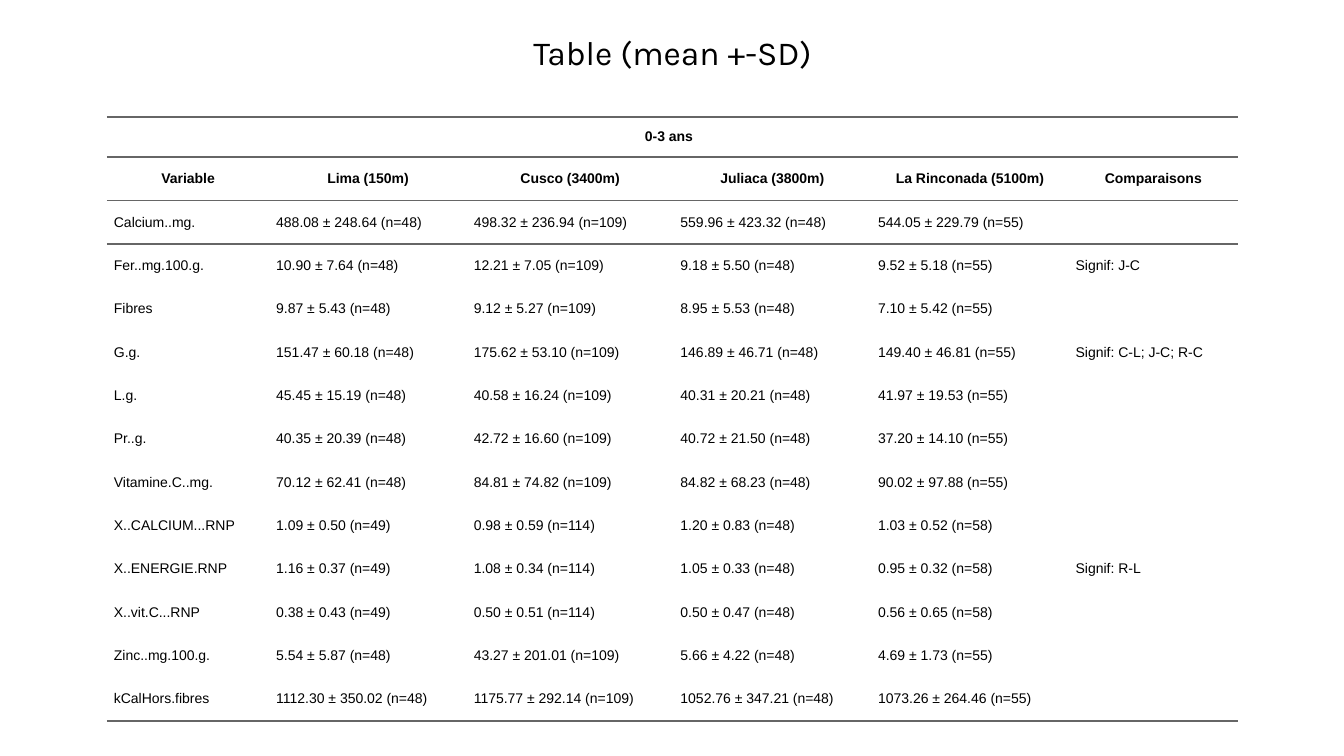
from lxml.etree import SubElement
from pptx import Presentation
from pptx.dml.color import RGBColor
from pptx.enum.text import MSO_ANCHOR, PP_ALIGN
from pptx.oxml.ns import qn
from pptx.util import Inches, Pt

COLORS = {"text": "000000", "rule": "666666"}
NO_STYLE = "{2D5ABB26-0587-4C30-8999-92F81FD0307C}"
WIDTHS = [1.61, 1.96, 2.05, 1.96, 1.96, 1.68]
HEADS = ["Variable", "Lima (150m)", "Cusco (3400m)", "Juliaca (3800m)",
         "La Rinconada (5100m)", "Comparaisons"]
ROWS = [
    ["", "0-3 ans", "", "", "", ""],
    HEADS,
    ["Calcium..mg.", "488.08 ± 248.64 (n=48)", "498.32 ± 236.94 (n=109)",
     "559.96 ± 423.32 (n=48)", "544.05 ± 229.79 (n=55)", ""],
    ["Fer..mg.100.g.", "10.90 ± 7.64 (n=48)", "12.21 ± 7.05 (n=109)",
     "9.18 ± 5.50 (n=48)", "9.52 ± 5.18 (n=55)", "Signif: J-C"],
    ["Fibres", "9.87 ± 5.43 (n=48)", "9.12 ± 5.27 (n=109)",
     "8.95 ± 5.53 (n=48)", "7.10 ± 5.42 (n=55)", ""],
    ["G.g.", "151.47 ± 60.18 (n=48)", "175.62 ± 53.10 (n=109)",
     "146.89 ± 46.71 (n=48)", "149.40 ± 46.81 (n=55)", "Signif: C-L; J-C; R-C"],
    ["L.g.", "45.45 ± 15.19 (n=48)", "40.58 ± 16.24 (n=109)",
     "40.31 ± 20.21 (n=48)", "41.97 ± 19.53 (n=55)", ""],
    ["Pr..g.", "40.35 ± 20.39 (n=48)", "42.72 ± 16.60 (n=109)",
     "40.72 ± 21.50 (n=48)", "37.20 ± 14.10 (n=55)", ""],
    ["Vitamine.C..mg.", "70.12 ± 62.41 (n=48)", "84.81 ± 74.82 (n=109)",
     "84.82 ± 68.23 (n=48)", "90.02 ± 97.88 (n=55)", ""],
    ["X..CALCIUM...RNP", "1.09 ± 0.50 (n=49)", "0.98 ± 0.59 (n=114)",
     "1.20 ± 0.83 (n=48)", "1.03 ± 0.52 (n=58)", ""],
    ["X..ENERGIE.RNP", "1.16 ± 0.37 (n=49)", "1.08 ± 0.34 (n=114)",
     "1.05 ± 0.33 (n=48)", "0.95 ± 0.32 (n=58)", "Signif: R-L"],
    ["X..vit.C...RNP", "0.38 ± 0.43 (n=49)", "0.50 ± 0.51 (n=114)",
     "0.50 ± 0.47 (n=48)", "0.56 ± 0.65 (n=58)", ""],
    ["Zinc..mg.100.g.", "5.54 ± 5.87 (n=48)", "43.27 ± 201.01 (n=109)",
     "5.66 ± 4.22 (n=48)", "4.69 ± 1.73 (n=55)", ""],
    ["kCalHors.fibres", "1112.30 ± 350.02 (n=48)", "1175.77 ± 292.14 (n=109)",
     "1052.76 ± 347.21 (n=48)", "1073.26 ± 264.46 (n=55)", ""],
]


class Page:
    def __init__(self, deck):
        self.slide = deck.slides.add_slide(deck.slide_layouts[5])

    def style(self, para, font, size, bold=False):
        for run in para.runs:
            run.font.name = font
            run.font.size = Pt(size)
            run.font.bold = bold
            run.font.color.rgb = RGBColor.from_string(COLORS["text"])

    def title(self, text, left, top, width, height):
        shape = self.slide.shapes.title
        shape.left, shape.top = Inches(left), Inches(top)
        shape.width, shape.height = Inches(width), Inches(height)
        frame = shape.text_frame
        frame.text = text
        frame.vertical_anchor = MSO_ANCHOR.MIDDLE
        para = frame.paragraphs[0]
        para.alignment = PP_ALIGN.CENTER
        para.line_spacing = 0.9
        self.style(para, "Karla", 24)

    def rule(self, cell, side):
        """Draw one cell border; side is lnT or lnB."""
        line = SubElement(cell._tc.get_or_add_tcPr(), qn("a:" + side), w=str(Pt(1.5)))
        fill = SubElement(line, qn("a:solidFill"))
        SubElement(fill, qn("a:srgbClr"), val=COLORS["rule"])

    def cell(self, cell, text, head):
        cell.margin_left = cell.margin_right = 0
        cell.margin_top = cell.margin_bottom = Inches(0.07) if text else 0
        cell.vertical_anchor = MSO_ANCHOR.MIDDLE
        if not text:
            return
        cell.text_frame.text = text
        para = cell.text_frame.paragraphs[0]
        para.alignment = PP_ALIGN.CENTER if head else PP_ALIGN.LEFT
        para.space_before = para.space_after = Pt(5)
        props = para._p.get_or_add_pPr()
        for side in ("marL", "marR"):
            props.set(side, str(Inches(0.07)))
        self.style(para, "Arial", 10, head)

    def table(self, rows, widths, left, top):
        heights = [0.4] + [0.43] * (len(rows) - 1)
        frame = self.slide.shapes.add_table(
            len(rows), len(widths), Inches(left), Inches(top),
            Inches(sum(widths)), Inches(sum(heights)))
        table = frame.table
        table.first_row = table.horz_banding = False
        table._tbl.tblPr.find(qn("a:tableStyleId")).text = NO_STYLE
        for col, width in zip(table.columns, widths):
            col.width = Inches(width)
        for row, height in zip(table.rows, heights):
            row.height = Inches(height)
        last = len(rows) - 1
        for r, row in enumerate(rows):
            for c, text in enumerate(row):
                cell = table.cell(r, c)
                self.cell(cell, text, head=r < 2)
                if r < 3:
                    self.rule(cell, "lnT")
                if r < 2 or r == last:
                    self.rule(cell, "lnB")
                cell.fill.background()
        table.cell(0, 1).merge(table.cell(0, 4))


def main():
    deck = Presentation()
    deck.slide_width, deck.slide_height = Inches(13.33), Inches(7.5)
    page = Page(deck)
    page.title("Table (mean +-SD)", 0.46, -0.18, 12.42, 1.45)
    page.table(ROWS, WIDTHS, 1.06, 1.16)
    deck.save("out.pptx")


if __name__ == "__main__":
    main()
